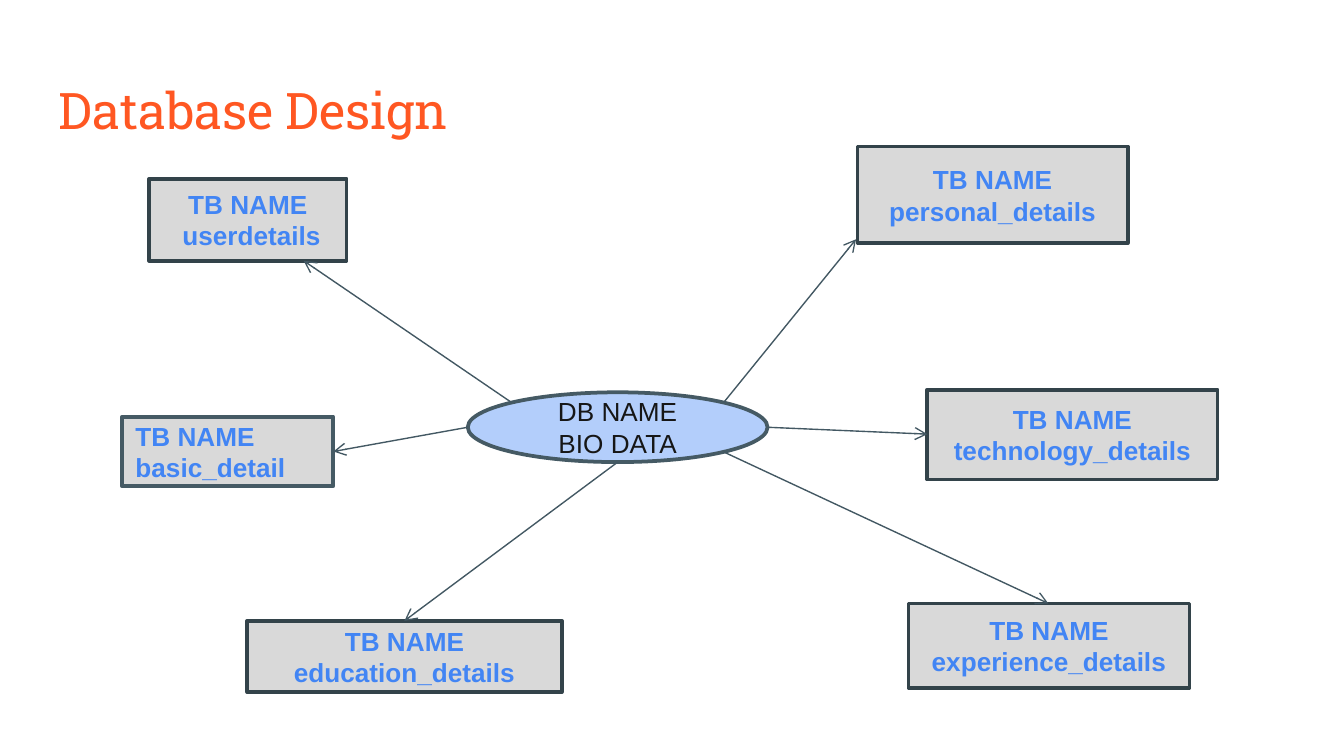
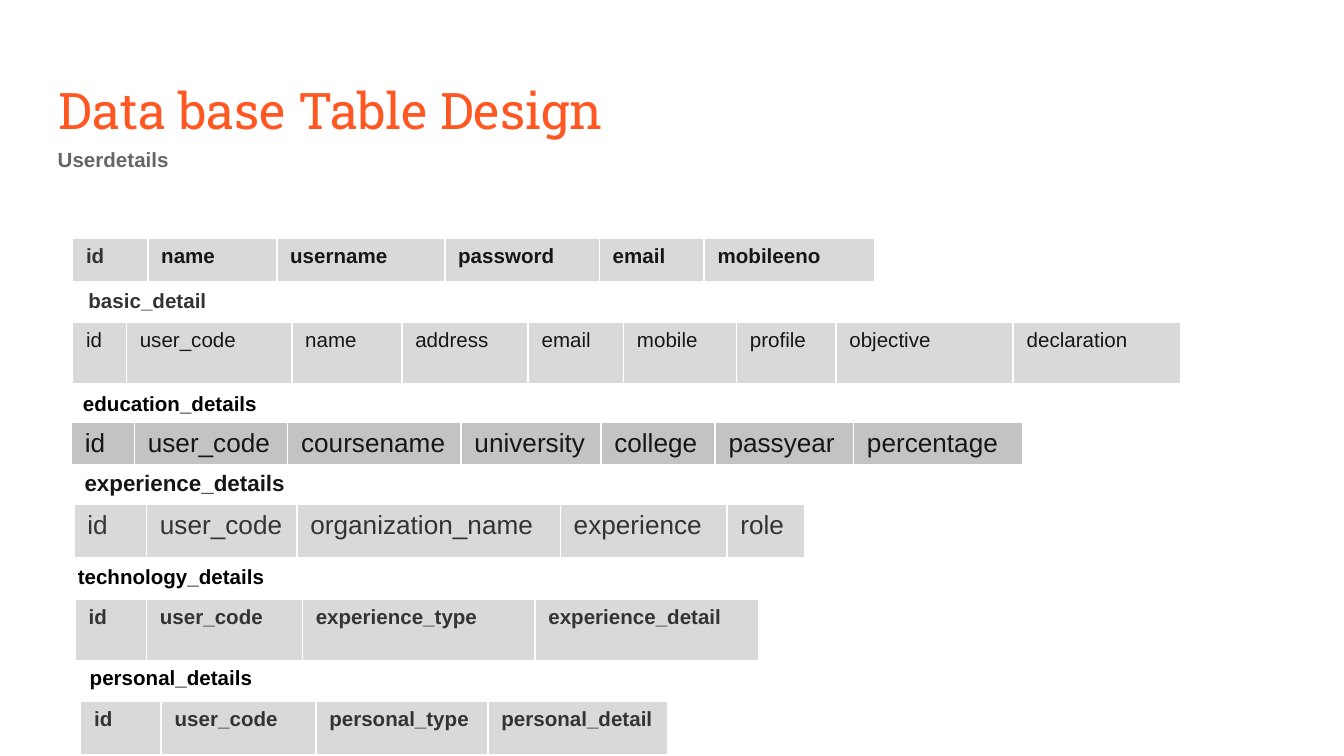
"""Build two slides that describe a database and its tables."""
from dataclasses import dataclass
from math import cos, radians, sin

from lxml import etree
from pptx import Presentation
from pptx.dml.color import RGBColor
from pptx.enum.shapes import MSO_CONNECTOR, MSO_SHAPE
from pptx.enum.text import MSO_ANCHOR, MSO_AUTO_SIZE, PP_ALIGN
from pptx.oxml.ns import qn
from pptx.util import Pt

RECT, OVAL = MSO_SHAPE.RECTANGLE, MSO_SHAPE.OVAL
STRAIGHT = MSO_CONNECTOR.STRAIGHT
TOP, MIDDLE = MSO_ANCHOR.TOP, MSO_ANCHOR.MIDDLE
GROW = MSO_AUTO_SIZE.SHAPE_TO_FIT_TEXT
LEFT, CENTER = PP_ALIGN.LEFT, PP_ALIGN.CENTER

COLORS = {
    "title": "FF5722", "subtitle": "666666", "link": "4285F4",
    "black": "000000", "ink": "161616", "gray": "333333",
    "box": "D9D9D9", "dark_box": "C3C3C3", "hub": "B3CEFB",
    "edge": "33434A", "soft_edge": "455A64", "arrow": "435863",
    "white": "FFFFFF",
}
BODY_FONT, TITLE_FONT = "Arial", "Roboto Slab"
BORDERS = {"a:lnL": 1, "a:lnR": 1, "a:lnT": 1, "a:lnB": 3}


@dataclass
class Box:
    left: float
    top: float
    width: float
    height: float


@dataclass
class Style:
    size: float
    color: str
    bold: bool = False
    font: str = BODY_FONT


@dataclass
class Node:
    box: Box
    lines: list[str]
    angle: float
    tip: tuple[float, float]
    edge: str = "edge"
    align: PP_ALIGN = CENTER


@dataclass
class Caption:
    text: str
    box: Box
    style: Style
    anchor: MSO_ANCHOR = TOP
    wrap: bool = False


@dataclass
class FieldTable:
    left: float
    top: float
    height: float
    fields: dict[str, float]
    style: Style
    fill: str = "box"
    id_color: str = ""


TITLE_BOX = Box(24.5, 35.3, 671, 45.4)
SUBTITLE_BOX = Box(23.8, 69.8, 671, 335.2)
TITLE = Style(27, "title", font=TITLE_FONT)
SUBTITLE = Style(11, "subtitle", True)
NODE, HUB = Style(14, "link", True), Style(14, "ink")
CAPTION = Style(11, "black", True)
BOLD_GRAY = Style(11, "gray", True)

HUB_BOX = Box(250.6, 210.2, 160.6, 37.4)
NODES = [
    Node(Box(79.9, 95.8, 105.8, 43.9), ["TB NAME", " userdetails"], 225, (162.7, 139.7)),
    Node(Box(65.5, 223.2, 113, 37.4), ["TB NAME", "basic_detail"], 180, (178.6, 241.9),
         "soft_edge", LEFT),
    Node(Box(132.5, 332.6, 168.5, 38.2), ["TB NAME education_details"], 90, (216.7, 332.6)),
    Node(Box(459.4, 78.5, 144.7, 51.8), ["TB NAME personal_details"], 315, (458.6, 128.2)),
    Node(Box(496.8, 208.8, 155.5, 48.2), ["TB NAME technology_details"], 0, (496.8, 232.6)),
    Node(Box(486.7, 323.3, 150.5, 45.4), ["TB NAME experience_details"], 45, (561.6, 323.3)),
]

CAPTIONS = [
    Caption("basic_detail", Box(40.3, 150.5, 95, 20.9), BOLD_GRAY, wrap=True),
    Caption("education_details", Box(37.4, 205.9, 108, 20.9), CAPTION),
    Caption("experience_details", Box(38.2, 247.7, 122.4, 21.6), Style(12, "ink", True), MIDDLE),
    Caption("technology_details", Box(34.6, 298.8, 115.2, 20.9), CAPTION),
    Caption("personal_details", Box(41, 352.8, 102.2, 20.9), CAPTION),
]

TABLES = [
    FieldTable(38.9, 127.4, 24.5, {
        "id": 40.3, "name": 69.1, "username": 90, "password": 82.8,
        "email": 56.2, "mobileeno": 91.4}, Style(11, "ink", True), id_color="gray"),
    FieldTable(38.9, 172.8, 33.8, {
        "id": 28.8, "user_code": 88.6, "name": 59, "address": 67.7, "email": 51.1,
        "mobile": 60.5, "profile": 53.3, "objective": 95, "declaration": 90},
        Style(11, "ink")),
    FieldTable(38.2, 226.1, 23.8, {
        "id": 33.8, "user_code": 82.1, "coursename": 92.9, "university": 74.9,
        "college": 61.2, "passyear": 74.2, "percentage": 90.7},
        Style(14, "ink"), "dark_box"),
    FieldTable(39.6, 270, 29.5, {
        "id": 38.9, "user_code": 80.6, "organization_name": 141.1,
        "experience": 89.3, "role": 41.8}, Style(14, "gray")),
    FieldTable(40.3, 321.1, 33.8, {
        "id": 38.2, "user_code": 83.5, "experience_type": 124.6,
        "experience_detail": 120.2}, BOLD_GRAY),
    FieldTable(43.2, 375.8, 29.5, {
        "id": 43.2, "user_code": 82.8, "personal_type": 92.2,
        "personal_detail": 96.5}, BOLD_GRAY),
]


def rgb(name: str) -> RGBColor:
    return RGBColor.from_string(COLORS[name])


def place(box: Box) -> list[Pt]:
    return [Pt(v) for v in (box.left, box.top, box.width, box.height)]


def write(tf, lines: list[str], style: Style, align: PP_ALIGN = LEFT) -> None:
    for i, line in enumerate(lines):
        p = tf.add_paragraph() if i else tf.paragraphs[0]
        p.text, p.alignment = line, align
        p.font.name, p.font.size = style.font, Pt(style.size)
        p.font.bold, p.font.color.rgb = style.bold, rgb(style.color)


def add_text(slide, text: str, box: Box, style: Style, inset: float = 3.6):
    tf = slide.shapes.add_textbox(*place(box)).text_frame
    tf.word_wrap = True
    tf.margin_top = tf.margin_bottom = Pt(inset)
    write(tf, [text], style)
    return tf


def add_titled_slide(prs, title: str):
    slide = prs.slides.add_slide(prs.slide_layouts[6])
    slide.background.fill.solid()
    slide.background.fill.fore_color.rgb = rgb("white")
    add_text(slide, title, TITLE_BOX, TITLE, 7.2)
    return slide


def add_node(slide, kind: MSO_SHAPE, box: Box, lines: list[str], style: Style,
             fill: str, edge: str, align: PP_ALIGN = CENTER) -> None:
    sp = slide.shapes.add_shape(kind, *place(box))
    sp.shadow.inherit = False
    sp.fill.solid()
    sp.fill.fore_color.rgb = rgb(fill)
    sp.line.color.rgb, sp.line.width = rgb(edge), Pt(2)
    tf = sp.text_frame
    tf.word_wrap, tf.vertical_anchor = True, MIDDLE
    write(tf, lines, style, align)


def add_arrow(slide, angle: float, tip: tuple[float, float]) -> None:
    rx, ry = HUB_BOX.width / 2, HUB_BOX.height / 2
    x = HUB_BOX.left + rx + rx * cos(radians(angle))
    y = HUB_BOX.top + ry + ry * sin(radians(angle))
    cxn = slide.shapes.add_connector(STRAIGHT, Pt(x), Pt(y), Pt(tip[0]), Pt(tip[1]))
    cxn.line.color.rgb, cxn.line.width = rgb("arrow"), Pt(0.75)
    etree.SubElement(cxn.line._get_or_add_ln(), qn("a:tailEnd"), type="arrow")
    etree.SubElement(cxn._element.spPr, qn("a:effectLst"))


def add_caption(slide, caption: Caption) -> None:
    tf = add_text(slide, caption.text, caption.box, caption.style)
    tf.word_wrap, tf.vertical_anchor = caption.wrap, caption.anchor
    tf.auto_size = GROW


def set_borders(cell) -> None:
    tc_pr = cell._tc.get_or_add_tcPr()
    for i, (tag, width) in enumerate(BORDERS.items()):
        ln = etree.Element(qn(tag), w=str(Pt(width)))
        fill = etree.SubElement(ln, qn("a:solidFill"))
        etree.SubElement(fill, qn("a:srgbClr"), val=COLORS["white"])
        tc_pr.insert(i, ln)


def add_field_table(slide, spec: FieldTable) -> None:
    box = Box(spec.left, spec.top, sum(spec.fields.values()), spec.height)
    table = slide.shapes.add_table(1, len(spec.fields), *place(box)).table
    table.first_row = table.horz_banding = False
    for i, (field, width) in enumerate(spec.fields.items()):
        table.columns[i].width = Pt(width)
        cell = table.cell(0, i)
        cell.fill.solid()
        cell.fill.fore_color.rgb = rgb(spec.fill)
        write(cell.text_frame, [field], spec.style)
        set_borders(cell)
    if spec.id_color:
        table.cell(0, 0).text_frame.paragraphs[0].font.color.rgb = rgb(spec.id_color)


def build_database_slide(prs) -> None:
    slide = add_titled_slide(prs, "Database Design")
    add_node(slide, OVAL, HUB_BOX, ["DB NAME", "BIO DATA"], HUB, "hub", "soft_edge")
    for node in NODES:
        add_node(slide, RECT, node.box, node.lines, NODE, "box", node.edge, node.align)
    for node in NODES:
        add_arrow(slide, node.angle, node.tip)


def build_tables_slide(prs) -> None:
    slide = add_titled_slide(prs, "Data base Table Design")
    p = add_text(slide, "Userdetails", SUBTITLE_BOX, SUBTITLE, 7.2).paragraphs[0]
    p.line_spacing, p.space_after = 1.15, Pt(12)
    for table in TABLES:
        add_field_table(slide, table)
    for caption in CAPTIONS:
        add_caption(slide, caption)


def main() -> None:
    prs = Presentation()
    prs.slide_width, prs.slide_height = Pt(720), Pt(405)
    build_database_slide(prs)
    build_tables_slide(prs)
    prs.save("out.pptx")


if __name__ == "__main__":
    main()
